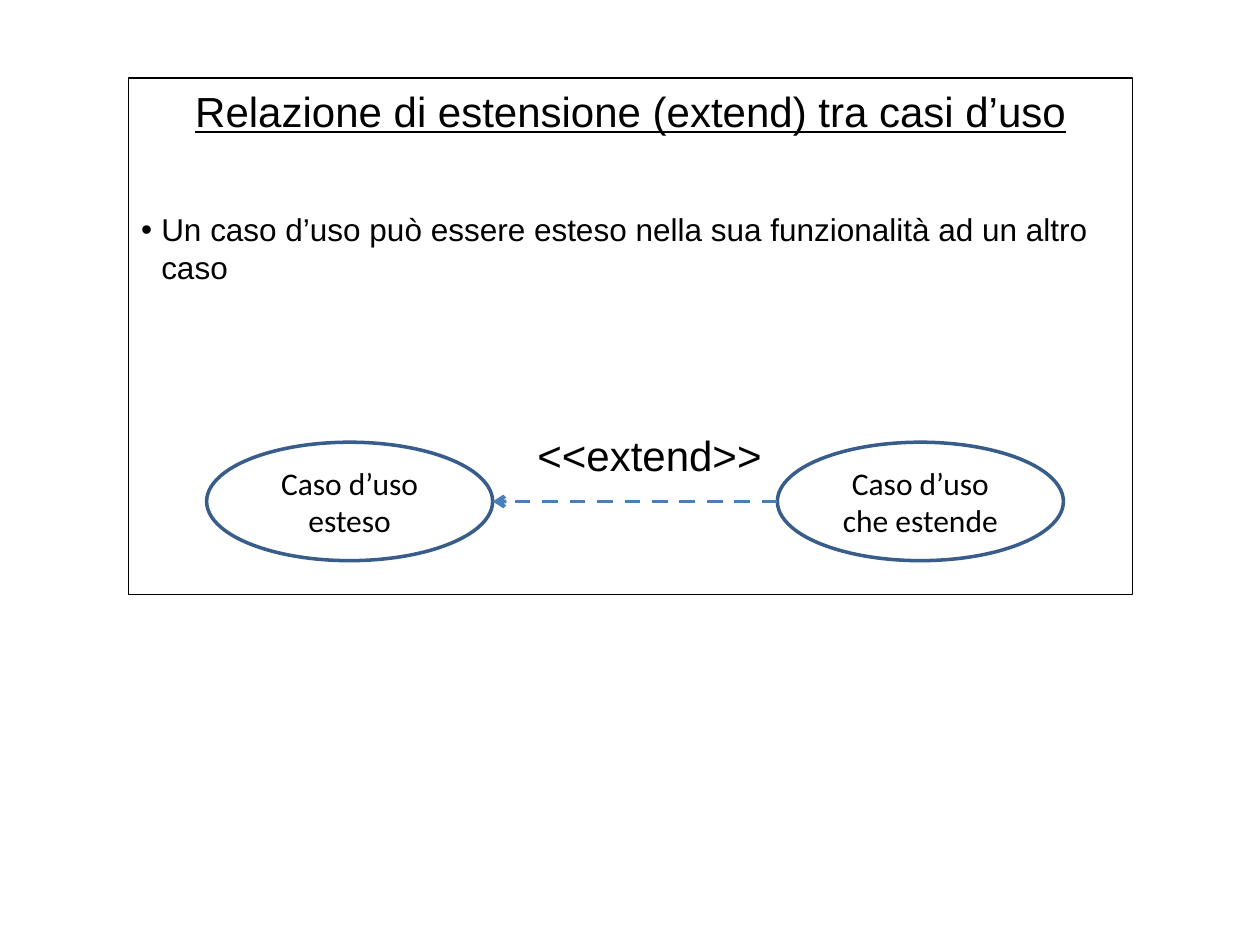
"""Build the slide on the extend relation between use cases."""
from lxml.etree import SubElement
from pptx import Presentation
from pptx.dml.color import RGBColor
from pptx.enum.dml import MSO_LINE
from pptx.enum.shapes import MSO_CONNECTOR, MSO_SHAPE
from pptx.enum.text import MSO_ANCHOR, MSO_AUTO_SIZE, PP_ALIGN
from pptx.oxml.ns import qn
from pptx.util import Inches, Pt

BLACK = RGBColor(0x00, 0x00, 0x00)
NAVY = RGBColor(0x38, 0x5D, 0x8A)
BLUE = RGBColor(0x4A, 0x7E, 0xBB)


def write(shape, text, size, face="Arial", align=PP_ALIGN.CENTER, anchor=MSO_ANCHOR.TOP):
    frame = shape.text_frame
    frame.word_wrap = True
    frame.auto_size = MSO_AUTO_SIZE.NONE
    frame.vertical_anchor = anchor
    para = frame.paragraphs[0]
    para.text = text
    para.alignment = align
    para.space_before = Pt(0)
    para.font.name = face
    para.font.size = Pt(size)
    para.font.color.rgb = BLACK
    return para


def place(shape, left, top, width, height):
    shape.left, shape.top = Inches(left), Inches(top)
    shape.width, shape.height = Inches(width), Inches(height)


deck = Presentation()
deck.slide_width, deck.slide_height = Inches(10), Inches(7.5)
slide = deck.slides.add_slide(deck.slide_layouts[1])
shapes = slide.shapes

title = shapes.title
place(title, 1.02, 0.63, 7.97, 0.5)
head = write(title, "Relazione di estensione (extend) tra casi d’uso", 24)
head.font.underline = True

body = slide.placeholders[1]
place(body, 1.02, 0.62, 7.97, 4.1)
body.line.color.rgb = BLACK
body.line.width = Pt(0.75)
body.text_frame.margin_top = Inches(1.05)
props = body.text_frame.paragraphs[0]._p.get_or_add_pPr()
props.set("marL", str(Inches(0.16)))
props.set("indent", str(-Inches(0.16)))
SubElement(props, qn("a:buChar"), char="•")
write(body, "Un caso d’uso può essere esteso nella sua funzionalità ad un altro caso",
      18, align=PP_ALIGN.LEFT)

for left, text in ((1.64, "Caso d’uso esteso"), (6.17, "Caso d’uso che estende")):
    case = shapes.add_shape(MSO_SHAPE.OVAL, Inches(left), Inches(3.51), Inches(2.27), Inches(0.94))
    case.shadow.inherit = False
    case.fill.background()
    case.line.color.rgb = NAVY
    case.line.width = Pt(2)
    write(case, text, 18, "Calibri", anchor=MSO_ANCHOR.MIDDLE)

arrow = shapes.add_connector(MSO_CONNECTOR.STRAIGHT, Inches(6.17), Inches(3.98),
                             Inches(3.91), Inches(3.98))
arrow.line.color.rgb = BLUE
arrow.line.width = Pt(2.25)
arrow.line.dash_style = MSO_LINE.DASH
SubElement(arrow.line._get_or_add_ln(), qn("a:tailEnd"), type="arrow")
SubElement(arrow._element.spPr, qn("a:effectLst"))

label = shapes.add_textbox(Inches(3.75), Inches(3.36), Inches(2.81), Inches(0.5))
write(label, "<<extend>>", 24)

deck.save("out.pptx")
